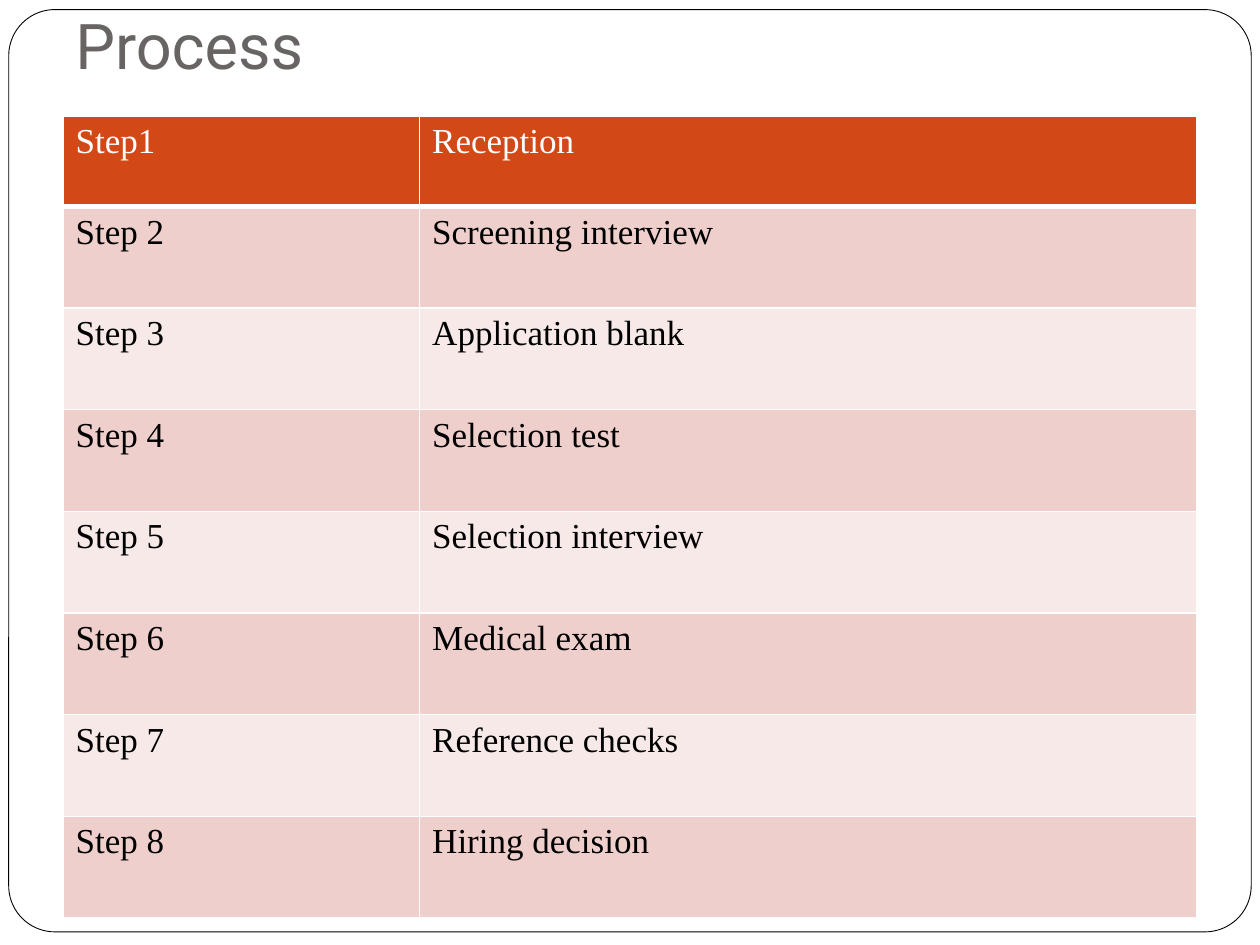
from lxml.etree import SubElement
from pptx import Presentation
from pptx.dml.color import RGBColor
from pptx.enum.shapes import MSO_SHAPE
from pptx.enum.text import MSO_ANCHOR
from pptx.oxml.ns import qn
from pptx.util import Pt

WHITE = RGBColor(0xFF, 0xFF, 0xFF)
BLACK = RGBColor(0x00, 0x00, 0x00)
GREY = RGBColor(0x69, 0x64, 0x64)
ORANGE = RGBColor(0xD3, 0x48, 0x17)
ROSE = RGBColor(0xEF, 0xCF, 0xCC)
PALE_ROSE = RGBColor(0xF7, 0xE9, 0xE8)

STEPS = [
    ("Step1", "Reception"),
    ("Step 2", "Screening interview"),
    ("Step 3", "Application blank"),
    ("Step 4", "Selection test"),
    ("Step 5", "Selection interview"),
    ("Step 6", "Medical exam"),
    ("Step 7", "Reference checks"),
    ("Step 8", "Hiring decision"),
]
COLUMN_WIDTHS = [203.8, 444.2]
HEADER_HEIGHT = 51.8
ROW_HEIGHT = 58.1

TITLE_FORMAT = {"name": "Roboto", "size": Pt(36)}
CELL_FORMAT = {"name": "Times New Roman", "size": Pt(20)}
TITLE_FRAME_FORMAT = {
    "word_wrap": True,
    "vertical_anchor": MSO_ANCHOR.BOTTOM,
    "margin_left": Pt(7.2),
    "margin_right": Pt(7.2),
    "margin_top": Pt(3.6),
    "margin_bottom": Pt(7.2),
}


def set_attributes(target, values):
    for name, value in values.items():
        setattr(target, name, value)


def write_text(text_frame, text, font_format, color):
    run = text_frame.paragraphs[0].add_run()
    run.text = text
    set_attributes(run.font, font_format)
    run.font.color.rgb = color


def add_frame(slide):
    """Draw the rounded outline around the slide."""
    frame = slide.shapes.add_shape(
        MSO_SHAPE.ROUNDED_RECTANGLE, Pt(5), Pt(5.5), Pt(710), Pt(527)
    )
    frame.adjustments[0] = 0.05
    frame.shadow.inherit = False
    frame.fill.solid()
    frame.fill.fore_color.rgb = WHITE
    frame.line.color.rgb = BLACK
    frame.line.width = Pt(0.5)


def add_title(slide, text):
    title = slide.shapes.add_textbox(Pt(36), Pt(21.6), Pt(648), Pt(32.4))
    set_attributes(title.text_frame, TITLE_FRAME_FORMAT)
    write_text(title.text_frame, text, TITLE_FORMAT, GREY)


def add_borders(cell, bottom_width):
    """Give the cell white borders; call before the fill is set."""
    properties = cell._tc.get_or_add_tcPr()
    widths = {"a:lnL": 1, "a:lnR": 1, "a:lnT": 1, "a:lnB": bottom_width}
    for tag, width in widths.items():
        line = SubElement(properties, qn(tag), w=str(Pt(width)))
        fill = SubElement(line, qn("a:solidFill"))
        SubElement(fill, qn("a:srgbClr"), val=str(WHITE))


def fill_cell(cell, text, row_index):
    is_header = row_index == 0
    add_borders(cell, 3 if is_header else 1)
    cell.fill.solid()
    band = ROSE if row_index % 2 else PALE_ROSE
    cell.fill.fore_color.rgb = ORANGE if is_header else band
    write_text(cell.text_frame, text, CELL_FORMAT, WHITE if is_header else BLACK)


def add_steps_table(slide):
    row_heights = [HEADER_HEIGHT] + [ROW_HEIGHT] * (len(STEPS) - 1)
    table = slide.shapes.add_table(
        len(STEPS), len(COLUMN_WIDTHS), Pt(36), Pt(66.2),
        Pt(sum(COLUMN_WIDTHS)), Pt(sum(row_heights)),
    ).table
    for column, width in zip(table.columns, COLUMN_WIDTHS):
        column.width = Pt(width)
    for row_index, (row, height) in enumerate(zip(table.rows, row_heights)):
        row.height = Pt(height)
        for cell, text in zip(row.cells, STEPS[row_index]):
            fill_cell(cell, text, row_index)


def main():
    presentation = Presentation()
    presentation.slide_width = Pt(720)
    presentation.slide_height = Pt(540)
    slide = presentation.slides.add_slide(presentation.slide_layouts[6])
    add_frame(slide)
    add_title(slide, "Process")
    add_steps_table(slide)
    presentation.save("out.pptx")


if __name__ == "__main__":
    main()
